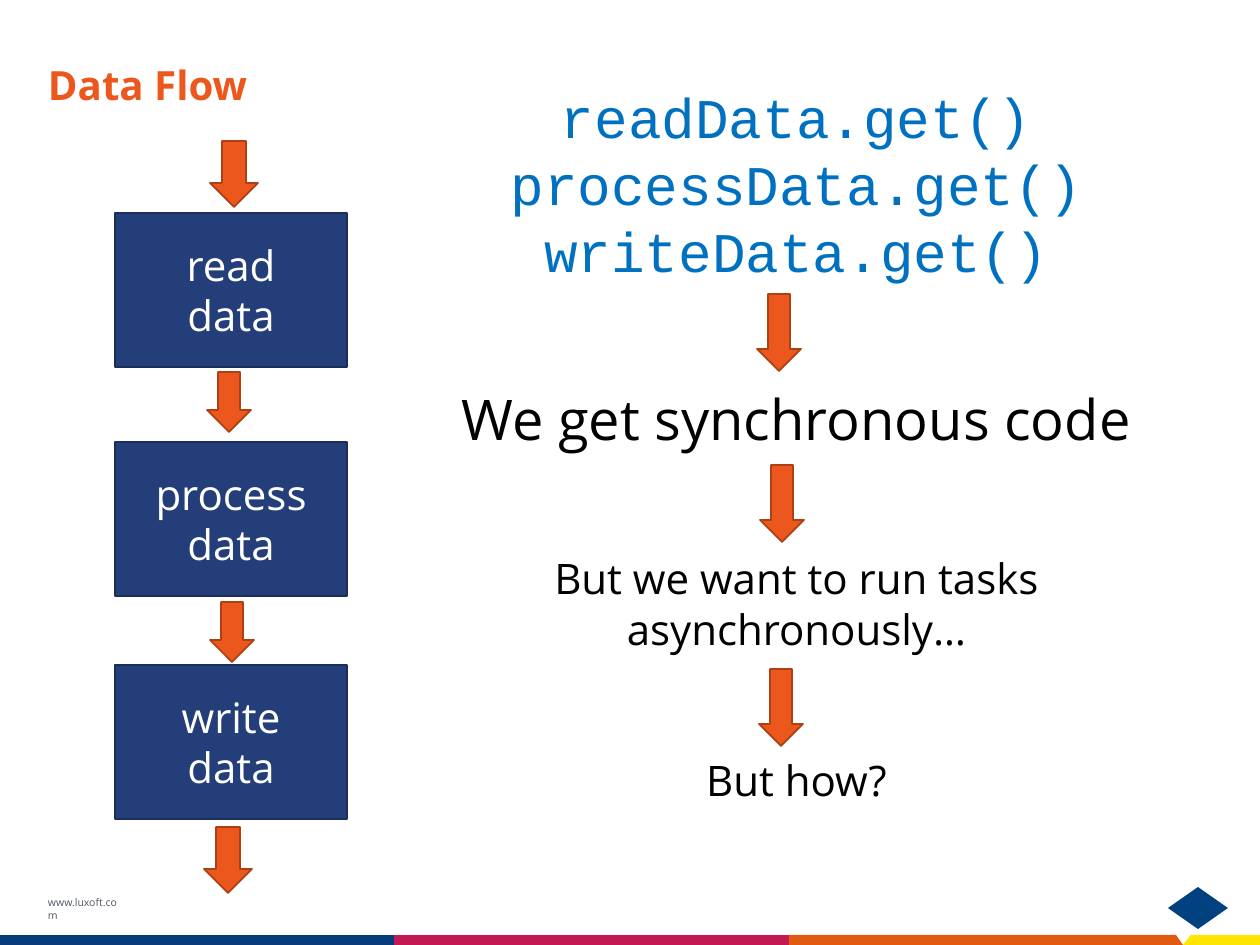
from lxml.etree import SubElement
from pptx import Presentation
from pptx.dml.color import RGBColor
from pptx.enum.shapes import MSO_SHAPE as Shape
from pptx.enum.text import MSO_ANCHOR as Anchor, MSO_AUTO_SIZE as AutoSize, PP_ALIGN as Align
from pptx.oxml.ns import qn
from pptx.util import Pt

# Content, lengths in px
SCALE = 914400 / 126
WIDTH, HEIGHT = 1260, 945
COLORS = {
    "orange": "EB571C", "arrow_line": "AE4015", "box": "243E79", "box_line": "1B2E5A",
    "code": "0070C0", "black": "000000", "white": "FFFFFF", "footer": "4E5761",
    "navy": "043B7B", "magenta": "C01953", "strip_orange": "E25A10", "yellow": "FFE500",
    "logo": "004180",
}
SANS, MONO = "Open Sans", "Courier New"

TITLE = "Data Flow"
ADDRESS = "www.luxoft.com"
STEPS = [("read\ndata", 213), ("process data", 442), ("write\ndata", 665)]
BOX_LEFT, BOX_WIDTH, BOX_HEIGHT = 115, 232, 154

# Text, size, font, colour, starts a new block
MESSAGES = [
    ("readData.get()", 32, MONO, "code", False),
    ("processData.get()", 32, MONO, "code", False),
    ("writeData.get()", 32, MONO, "code", False),
    ("We get synchronous code", 32, SANS, "black", True),
    ("But we want to run tasks asynchronously…", 24, SANS, "black", True),
    ("But how?", 24, SANS, "black", True),
]
BLOCK_GAP = 57.6

# Size of each kind of arrow, then its left and top positions
ARROWS = [
    ((48, 66), [(210, 141), (204, 827)]),
    ((44, 60), [(207, 372), (210, 602)]),
    ((44, 77), [(757, 294), (760, 465), (759, 669)]),
]

STRIP_TOP = 935
STRIPS = [
    ("navy", [(0, STRIP_TOP), (394, STRIP_TOP), (394, HEIGHT), (0, HEIGHT)]),
    ("magenta", [(394, STRIP_TOP), (789, STRIP_TOP), (789, HEIGHT), (394, HEIGHT)]),
    ("strip_orange", [(789, STRIP_TOP), (1176, STRIP_TOP), (1183, HEIGHT), (789, HEIGHT)]),
    ("yellow", [(1191, STRIP_TOP), (WIDTH, STRIP_TOP), (WIDTH, HEIGHT), (1183, HEIGHT)]),
]


def px(length):
    return round(length * SCALE)


def color(name):
    return RGBColor.from_string(COLORS[name])


def place(shape, left, top, width, height):
    shape.left, shape.top, shape.width, shape.height = map(px, (left, top, width, height))


def paint(shape, fill, line=None):
    shape.shadow.inherit = False
    shape.fill.solid()
    shape.fill.fore_color.rgb = color(fill)
    if line:
        shape.line.color.rgb = color(line)
        shape.line.width = Pt(1)
    else:
        shape.line.fill.background()


def set_font(paragraph, size, name, color_name, bold=False):
    font = paragraph.font
    font.size, font.name, font.bold = Pt(size), name, bold
    font.color.rgb = color(color_name)


def set_insets(frame):
    frame.margin_left = frame.margin_right = px(9)
    frame.margin_top = frame.margin_bottom = px(5)


def add_preset(slide, kind, area, fill, line=None):
    shape = slide.shapes.add_shape(kind, *map(px, area))
    paint(shape, fill, line)
    return shape


def add_footer(slide):
    box = slide.shapes.add_textbox(*map(px, (39, 891, 93, 23)))
    frame = box.text_frame
    frame.word_wrap = True
    set_insets(frame)
    frame.text = ADDRESS
    set_font(frame.paragraphs[0], 6, SANS, "footer")
    for fill, points in STRIPS:
        builder = slide.shapes.build_freeform(*points[0], scale=SCALE)
        builder.add_line_segments(points[1:], close=True)
        paint(builder.convert_to_shape(), fill)
    add_preset(slide, Shape.DIAMOND, (1168, 887, 60, 42), "logo")


def fill_title(title):
    place(title, 39, 50, 1184, 69)
    frame = title.text_frame
    frame.auto_size = AutoSize.NONE
    frame.vertical_anchor = Anchor.MIDDLE
    set_insets(frame)
    frame.text = TITLE
    paragraph = frame.paragraphs[0]
    paragraph.alignment = Align.LEFT
    set_font(paragraph, 23, SANS, "orange", bold=True)


def fill_messages(body):
    place(body, 389, 76, 815, 793)
    frame = body.text_frame
    frame.auto_size = AutoSize.NONE
    frame.text = "\n".join(message[0] for message in MESSAGES)
    for paragraph, (_, size, font, color_name, new_block) in zip(frame.paragraphs, MESSAGES):
        properties = paragraph._p.get_or_add_pPr()
        properties.set("marL", "0")
        properties.set("indent", "0")
        SubElement(properties, qn("a:buNone"))
        paragraph.alignment = Align.CENTER
        paragraph.space_before = Pt(BLOCK_GAP if new_block else 0)
        set_font(paragraph, size, font, color_name)


def add_flow(slide):
    for text, top in STEPS:
        box = add_preset(slide, Shape.RECTANGLE, (BOX_LEFT, top, BOX_WIDTH, BOX_HEIGHT),
                         "box", "box_line")
        frame = box.text_frame
        frame.word_wrap = True
        frame.vertical_anchor = Anchor.MIDDLE
        frame.text = text
        for paragraph in frame.paragraphs:
            paragraph.alignment = Align.CENTER
            set_font(paragraph, 24, SANS, "white")
    for size, positions in ARROWS:
        for position in positions:
            add_preset(slide, Shape.DOWN_ARROW, position + size, "orange", "arrow_line")


def main():
    presentation = Presentation()
    presentation.slide_width, presentation.slide_height = px(WIDTH), px(HEIGHT)
    slide = presentation.slides.add_slide(presentation.slide_layouts[1])
    add_footer(slide)
    fill_title(slide.shapes.title)
    fill_messages(slide.placeholders[1])
    add_flow(slide)
    presentation.save("out.pptx")


if __name__ == "__main__":
    main()
